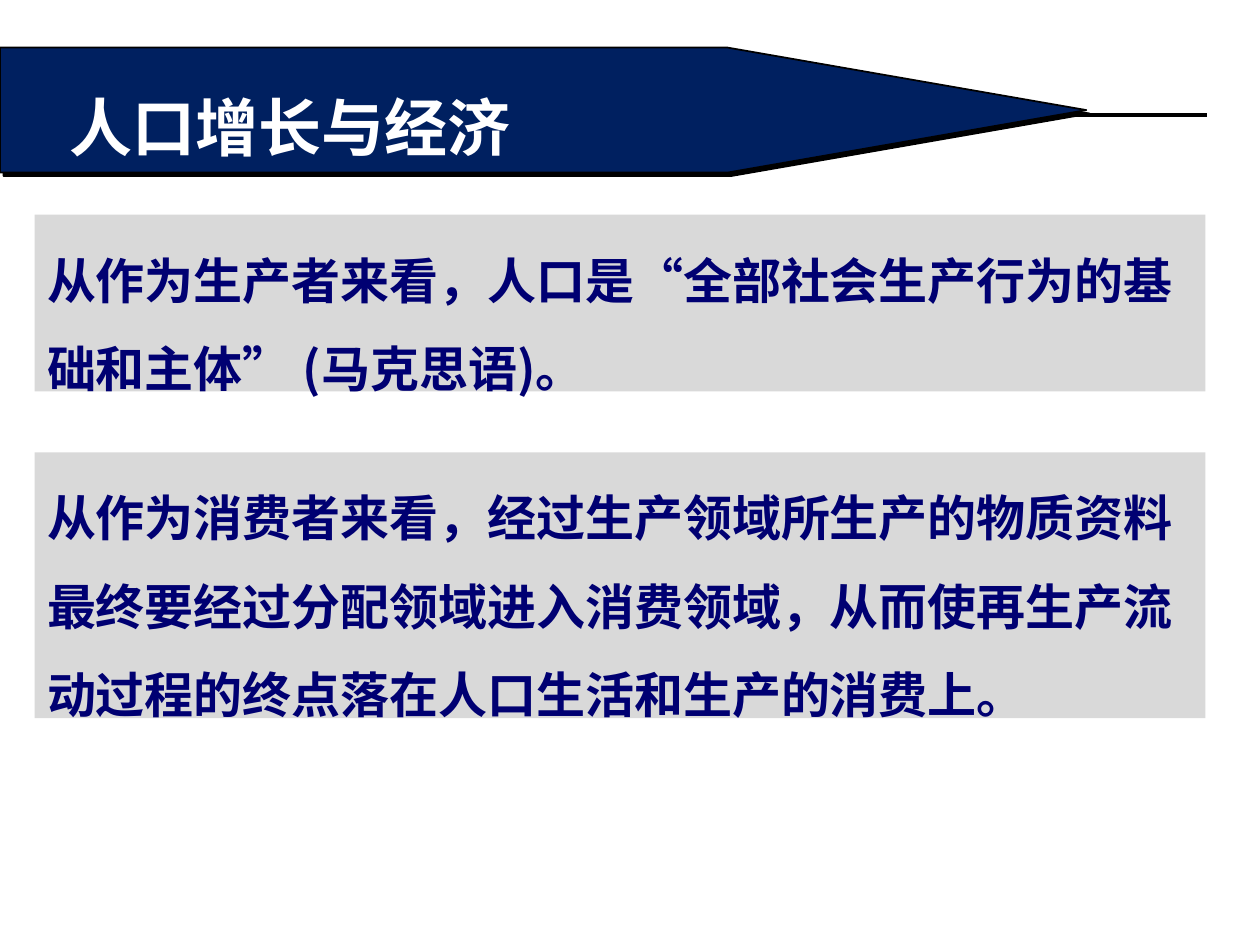
import pptx
import pptx.util
import pptx.dml.color
import pptx.enum.shapes
import pptx.enum.text
import pptx.oxml
import pptx.oxml.ns

Cm = pptx.util.Cm
Pt = pptx.util.Pt
MIDDLE = pptx.enum.text.MSO_ANCHOR.MIDDLE
TOP = pptx.enum.text.MSO_ANCHOR.TOP
LEFT = pptx.enum.text.PP_ALIGN.LEFT


def color(hex_code):
    return pptx.dml.color.RGBColor.from_string(hex_code)


def add_effects(element, content=""):
    namespace = pptx.oxml.ns.nsdecls("a")
    element.spPr.append(
        pptx.oxml.parse_xml(f"<a:effectLst {namespace}>{content}</a:effectLst>")
    )


def style_paragraph(paragraph, font_name, size, hex_code):
    paragraph.alignment = LEFT
    paragraph.font.name = font_name
    paragraph.font.size = Pt(size)
    paragraph.font.bold = True
    paragraph.font.color.rgb = color(hex_code)


def add_header(slide, left, top, width, height):
    axis = top + Cm(1.35)
    rule = slide.shapes.add_connector(
        pptx.enum.shapes.MSO_CONNECTOR.STRAIGHT,
        left + Cm(1.07), axis, left + Cm(24.33), axis,
    )
    rule.line.color.rgb = color("000000")
    rule.line.width = Pt(2.25)
    add_effects(rule._element)

    banner = slide.shapes.add_shape(
        pptx.enum.shapes.MSO_SHAPE.PENTAGON, left, top, width, height
    )
    banner.adjustments[0] = 2.87
    banner.fill.solid()
    banner.fill.fore_color.rgb = color("002060")
    banner.line.color.rgb = color("000000")
    banner.line.width = Pt(1)
    add_effects(
        banner._element,
        '<a:outerShdw dist="35560" dir="2700000" algn="ctr" rotWithShape="0">'
        '<a:srgbClr val="000000"/></a:outerShdw>',
    )

    title = slide.shapes.title
    title.left, title.top = left + Cm(1.4), top + Cm(0.66)
    title.width, title.height = Cm(13), Cm(1.85)
    frame = title.text_frame
    frame.margin_left = frame.margin_right = 0
    frame.margin_top = frame.margin_bottom = 0
    frame.vertical_anchor = MIDDLE
    frame.text = "人口增长与经济"
    style_paragraph(frame.paragraphs[0], "Arial", 36, "FFFFFF")
    banner._element.addnext(title._element)


def add_statement(slide, left, top, width, height, text):
    panel = slide.shapes.add_shape(
        pptx.enum.shapes.MSO_SHAPE.RECTANGLE, left, top, width, height
    )
    panel.shadow.inherit = False
    panel.fill.solid()
    panel.fill.fore_color.rgb = color("D9D9D9")
    panel.line.fill.background()
    frame = panel.text_frame
    frame.word_wrap = True
    frame.vertical_anchor = TOP
    frame.text = text
    paragraph = frame.paragraphs[0]
    paragraph.line_spacing = 1.5
    style_paragraph(paragraph, "Noto Sans CJK SC", 28, "000072")


def main():
    presentation = pptx.Presentation()
    presentation.slide_width = Cm(25.4)
    presentation.slide_height = Cm(19.05)
    slide = presentation.slides.add_slide(presentation.slide_layouts[5])

    add_header(slide, Cm(0), Cm(0.96), Cm(21.9), Cm(2.52))
    statements = [
        (4.33, 3.56, "从作为生产者来看，人口是“全部社会生产行为的基础和主体” (马克思语)。"),
        (9.12, 5.36, "从作为消费者来看，经过生产领域所生产的物质资料最终要经过分配领域"
                     "进入消费领域，从而使再生产流动过程的终点落在人口生活和生产的消费上。"),
    ]
    for top, height, text in statements:
        add_statement(slide, Cm(0.7), Cm(top), Cm(23.6), Cm(height), text)
    presentation.save("out.pptx")


if __name__ == "__main__":
    main()
